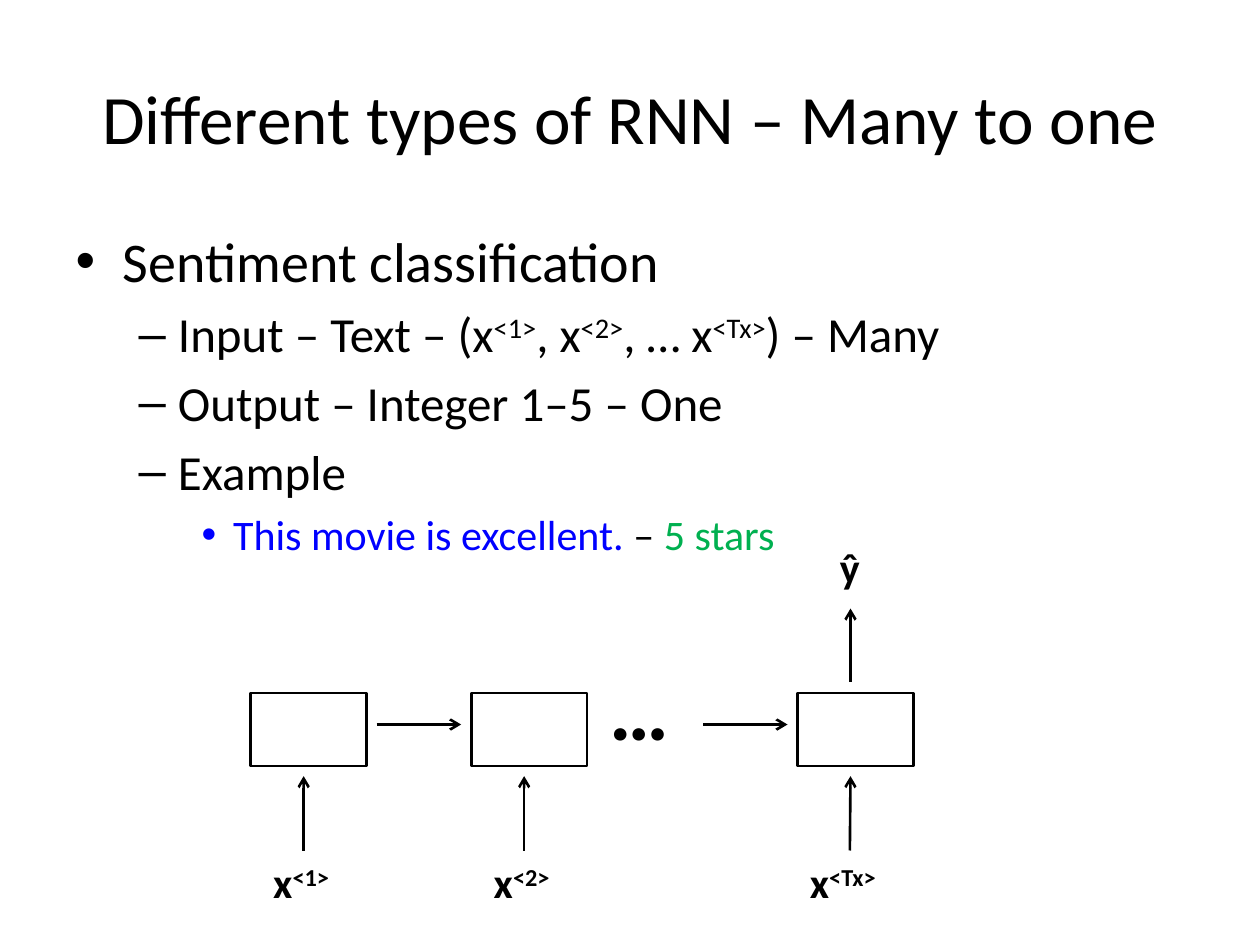
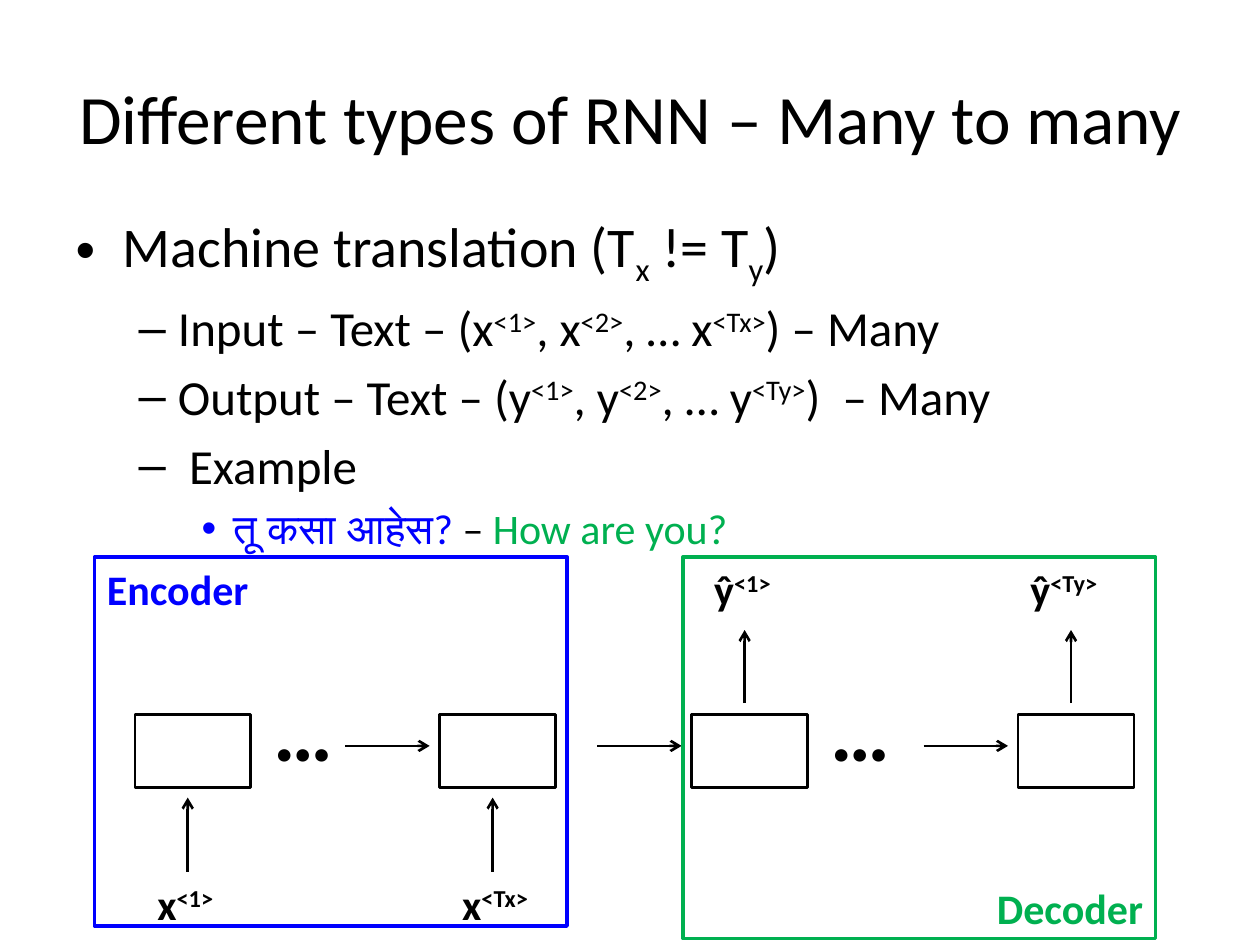
from lxml.etree import SubElement
from pptx import Presentation
from pptx.dml.color import RGBColor
from pptx.enum.shapes import MSO_CONNECTOR, MSO_SHAPE
from pptx.enum.text import MSO_ANCHOR, MSO_AUTO_SIZE, PP_ALIGN
from pptx.oxml.ns import qn
from pptx.util import Inches, Pt

COLORS = {"ink": "000000", "input": "0000FF", "output": "00B050"}
FONT = "Calibri"
LEVEL_SIZES = [32, 28, 24]
SUPERSCRIPT, SUBSCRIPT = 30000, -25000
CELL_WIDTH, CELL_HEIGHT = 0.92, 0.58
STEM = 0.42


def rgb(color):
    """Return the named palette colour."""
    return RGBColor.from_string(COLORS[color])


def inches(*lengths):
    """Convert several lengths to Inches."""
    return [Inches(length) for length in lengths]


def style(paragraph, size, color="ink", bold=False, align=PP_ALIGN.LEFT):
    """Set the font and alignment of a paragraph."""
    paragraph.alignment = align
    font = paragraph.font
    font.name, font.size, font.bold = FONT, Pt(size), bold
    font.color.rgb = rgb(color)


def add_runs(paragraph, text, color=None, shift=SUPERSCRIPT):
    """Add runs, shifting every second part between bars off the baseline."""
    for index, part in enumerate(text.split("|")):
        run = paragraph.add_run()
        run.text = part
        if color:
            run.font.color.rgb = rgb(color)
        if index % 2:
            run._r.get_or_add_rPr().set("baseline", str(shift))


def add_title(slide, text, box):
    """Fill and place the title placeholder."""
    title = slide.shapes.title
    title.left, title.top, title.width, title.height = inches(*box)
    frame = title.text_frame
    frame.auto_size = MSO_AUTO_SIZE.NONE
    frame.vertical_anchor = MSO_ANCHOR.MIDDLE
    frame.text = text
    style(frame.paragraphs[0], 39.6, align=PP_ALIGN.CENTER)


def add_outline(slide, entries, box):
    """Fill the body placeholder with (level, shift, segments) entries."""
    body = slide.placeholders[1]
    body.left, body.top, body.width, body.height = inches(*box)
    frame = body.text_frame
    frame.auto_size = MSO_AUTO_SIZE.NONE
    for index, (level, shift, segments) in enumerate(entries):
        paragraph = frame.add_paragraph() if index else frame.paragraphs[0]
        paragraph.level = level
        style(paragraph, LEVEL_SIZES[level], align=PP_ALIGN.JUSTIFY)
        for text, color in segments:
            add_runs(paragraph, text, color, shift)


def add_label(slide, text, box, size=24, wrap=True, align=PP_ALIGN.LEFT):
    """Add a bold diagram label."""
    label = slide.shapes.add_textbox(*inches(*box))
    label.text_frame.word_wrap = wrap
    paragraph = label.text_frame.paragraphs[0]
    style(paragraph, size, bold=True, align=align)
    add_runs(paragraph, text)
    return label


def add_arrow(slide, *ends):
    """Add an arrow between two points."""
    arrow = slide.shapes.add_connector(MSO_CONNECTOR.STRAIGHT, *inches(*ends))
    arrow.line.color.rgb = rgb("ink")
    arrow.line.width = Pt(1.5)
    SubElement(arrow.line._get_or_add_ln(), qn("a:tailEnd"), type="arrow")
    SubElement(arrow._element.spPr, qn("a:effectLst"))
    return arrow


def add_rectangle(slide, box, color="ink", width=1.5):
    """Add an unfilled rectangle."""
    rectangle = slide.shapes.add_shape(MSO_SHAPE.RECTANGLE, *inches(*box))
    rectangle.shadow.inherit = False
    rectangle.fill.background()
    rectangle.line.color.rgb = rgb(color)
    rectangle.line.width = Pt(width)
    return rectangle


def add_cell(slide, left, top, incoming=True, ellipsis=False):
    """Add a recurrent cell, its incoming arrow and the dots after it."""
    add_rectangle(slide, (left, top, CELL_WIDTH, CELL_HEIGHT))
    if incoming:
        add_arrow(slide, left - 0.75, top + 0.25, left - 0.08, top + 0.25)
    if ellipsis:
        add_label(slide, "…", (left + 1, top - 0.34, 0.68, 0.91), 48, wrap=False)


def add_input(slide, left, top, text, offset=0.08, width=0.75):
    """Add the input label and arrow under the cell at left, top."""
    label = add_label(slide, text, (left + offset, top + 1.25, width, 0.5))
    stem = left + STEM
    arrow = add_arrow(slide, stem, top + 1.25, stem, top + 0.66)
    if offset == 0:
        arrow.begin_connect(label, 0)


def add_output(slide, left, top, text, offset=0, align=PP_ALIGN.LEFT):
    """Add the output arrow and label above the cell at left, top."""
    stem = left + STEM
    add_arrow(slide, stem, top - 0.09, stem, top - 0.67)
    add_label(slide, text, (left + offset, top - 1.25, 0.83, 0.5), align=align)


def add_stage(slide, name, color, box, anchor, align):
    """Frame one half of the network and name it."""
    stage = add_rectangle(slide, box, color, 2)
    frame = stage.text_frame
    frame.vertical_anchor = anchor
    frame.text = name
    style(frame.paragraphs[0], 24, color, True, align)


def add_many_to_one(slide, left, top):
    """Draw three cells that lead to a single output."""
    second, last = left + 1.75, left + 4.34
    add_cell(slide, left, top, incoming=False)
    add_cell(slide, second, top, ellipsis=True)
    add_cell(slide, last, top)
    add_input(slide, left, top, "x|<1>|")
    add_input(slide, second, top, "x|<2>|")
    add_input(slide, last, top, "x|<Tx>|", 0, 0.83)
    add_output(slide, last, top, "ŷ", align=PP_ALIGN.CENTER)


def add_encoder(slide, left, top):
    """Draw the framed encoder cells and their inputs."""
    first, last, row = left + 0.32, left + 2.74, top + 1.25
    add_cell(slide, first, row, incoming=False, ellipsis=True)
    add_cell(slide, last, row)
    add_input(slide, first, row, "x|<1>|")
    add_input(slide, last, row, "x|<Tx>|", width=0.83)
    add_stage(slide, "Encoder", "input", (left, top, 3.75, 2.93),
              MSO_ANCHOR.TOP, PP_ALIGN.LEFT)


def add_decoder(slide, left, top):
    """Draw the framed decoder cells and their outputs."""
    first, last, row = left + 0.07, left + 2.66, top + 1.25
    add_cell(slide, first, row, ellipsis=True)
    add_cell(slide, last, row)
    add_output(slide, first, row, "ŷ|<1>|", 0.08)
    add_output(slide, last, row, "ŷ|<Ty>|")
    add_stage(slide, "Decoder", "output", (left, top, 3.75, 3.03),
              MSO_ANCHOR.BOTTOM, PP_ALIGN.RIGHT)


def outline(task, output, example, source, result):
    """Return the body entries that describe one task."""
    return [
        (0, SUBSCRIPT, [(task, None)]),
        (1, SUPERSCRIPT, [("Input – Text – (x|<1>|, x|<2>|, … x|<Tx>|) – Many", None)]),
        (1, SUPERSCRIPT, [(output, None)]),
        (1, SUPERSCRIPT, [(example, None)]),
        (2, SUPERSCRIPT, [(source, "input"), (" – ", "ink"), (result, "output")]),
    ]


def add_topic(deck, kind, entries, title_box, body_box):
    """Add a slide with its title and outline."""
    slide = deck.slides.add_slide(deck.slide_layouts[1])
    add_title(slide, f"Different types of RNN – {kind}", title_box)
    add_outline(slide, entries, body_box)
    return slide


def main():
    """Build and save the deck."""
    deck = Presentation()
    deck.slide_width, deck.slide_height = inches(10, 7.5)

    sentiment = outline("Sentiment classification", "Output – Integer 1–5 – One",
                        "Example", "This movie is excellent.", "5 stars")
    slide = add_topic(deck, "Many to one", sentiment,
                      (0.5, 0.3, 9, 1.25), (0.5, 1.75, 9, 4.95))
    add_many_to_one(slide, 1.99, 5.5)

    translation = outline("Machine translation (T|x| != T|y|)",
                          "Output – Text – (y|<1>|, y|<2>|, … y|<Ty>|)  – Many",
                          " Example", "तू कसा आहेस?", "How are you?")
    slide = add_topic(deck, "Many to many", translation,
                      (0.42, 0.3, 9.17, 1.25), (0.5, 1.63, 9, 4.95))
    add_encoder(slide, 0.75, 4.42)
    add_decoder(slide, 5.42, 4.42)

    deck.save("out.pptx")


if __name__ == "__main__":
    main()
